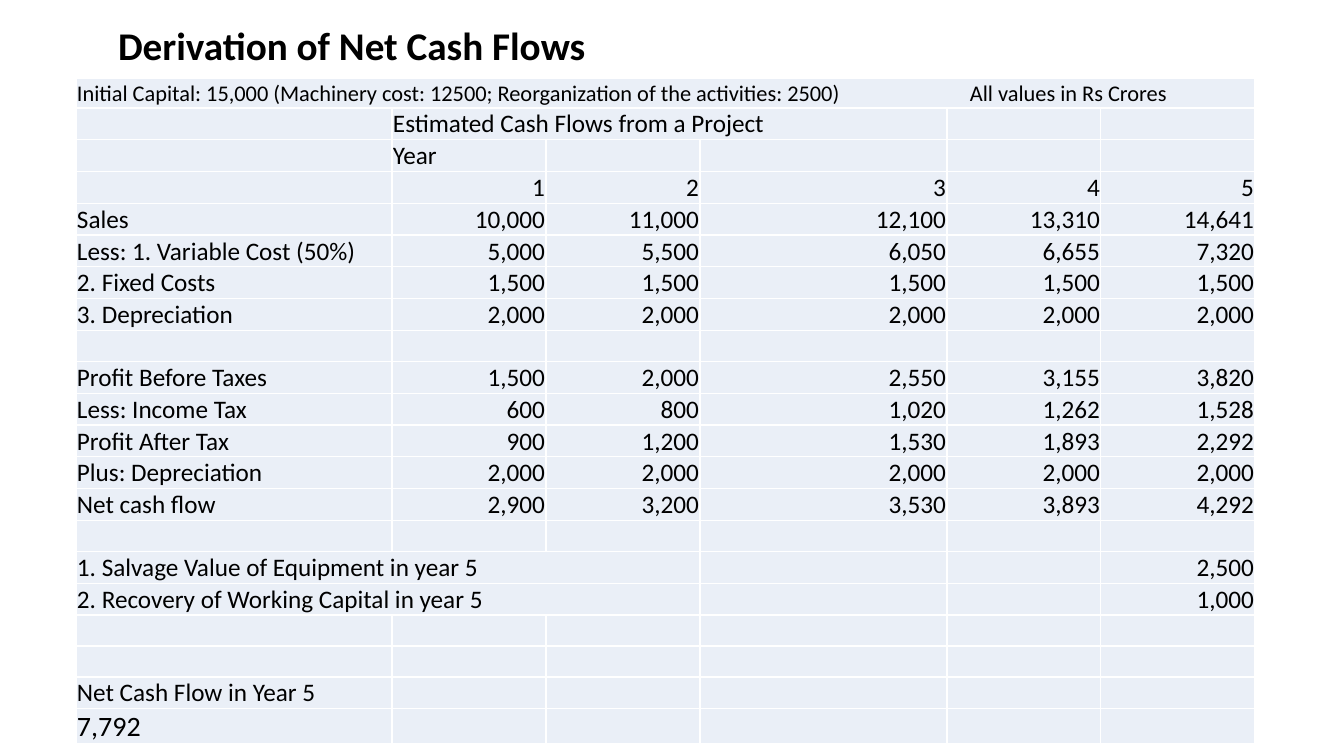
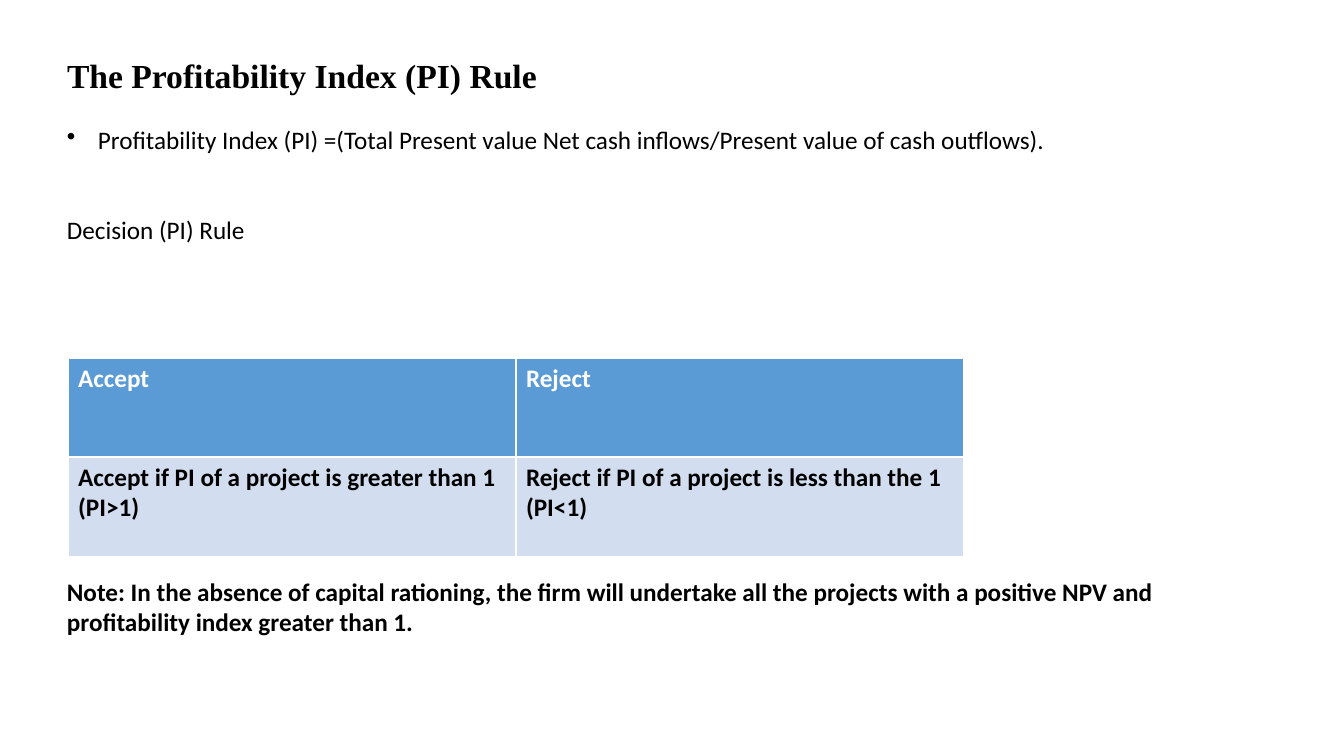
from dataclasses import dataclass

from lxml import etree
from pptx import Presentation
from pptx import util as u
from pptx.dml.color import RGBColor
from pptx.enum import text
from pptx.oxml.ns import qn

PX = 12192000 / 1344


def px(n):
    return u.Emu(round(n * PX))


@dataclass(frozen=True)
class Theme:
    ink: str = "000000"
    white: str = "FFFFFF"
    pale: str = "EAEFF7"
    band: str = "D2DEEF"
    header: str = "5B9BD5"
    sans: str = "Calibri"
    serif: str = "Times New Roman"
    title: int = 28
    serif_title: int = 24
    large: int = 20
    body: int = 18
    small: int = 16


class Deck:
    def __init__(self, theme):
        self.theme = theme
        self.prs = Presentation()
        self.prs.slide_width, self.prs.slide_height = px(1344), px(756)
        self.s = None

    def style(self, p, size=None, color=None, bold=False, font=None):
        f = p.font
        f.name = font or self.theme.sans
        f.size = u.Pt(size or self.theme.body)
        f.bold = bold
        f.color.rgb = RGBColor.from_string(color or self.theme.ink)

    def slide(self, title, box, size, font=None):
        self.s = self.prs.slides.add_slide(self.prs.slide_layouts[5])
        sp = self.s.shapes.title
        sp.left, sp.top, sp.width, sp.height = map(px, box)
        tf = sp.text_frame
        tf.text = title
        tf.word_wrap = True
        tf.auto_size = text.MSO_AUTO_SIZE.NONE
        tf.vertical_anchor = text.MSO_ANCHOR.TOP
        p = tf.paragraphs[0]
        p.alignment = text.PP_ALIGN.LEFT
        self.style(p, size, bold=True, font=font)

    def textbox(self, box, lines, bold=False, gap=0):
        tf = self.s.shapes.add_textbox(*map(px, box)).text_frame
        tf.word_wrap = True
        for i, line in enumerate(lines):
            p = tf.add_paragraph() if i else tf.paragraphs[0]
            p.text = line
            p.space_before = u.Pt(gap if i else 0)
            self.style(p, bold=bold)
        return tf

    def bullet(self, p, indent):
        pPr = p._p.get_or_add_pPr()
        pPr.set("marL", str(px(indent)))
        pPr.set("indent", str(-px(indent)))
        bu = etree.Element(qn("a:buChar"), char="•")
        pPr.find(qn("a:defRPr")).addprevious(bu)

    def tab_stop(self, p, pos):
        tabs = etree.Element(qn("a:tabLst"))
        etree.SubElement(tabs, qn("a:tab"), pos=str(px(pos)), algn="l")
        p._p.get_or_add_pPr().find(qn("a:defRPr")).addprevious(tabs)

    def table(self, left, top, widths, heights, header=False):
        tbl = self.s.shapes.add_table(
            len(heights), len(widths), px(left), px(top),
            px(sum(widths)), px(sum(heights))).table
        tbl.first_row = header
        tbl.horz_banding = False
        for col, w in zip(tbl.columns, widths):
            col.width = px(w)
        for row, h in zip(tbl.rows, heights):
            row.height = px(h)
        return tbl

    def cell(self, cell, value, fill, tight=False, right=False, **font):
        cell.fill.solid()
        cell.fill.fore_color.rgb = RGBColor.from_string(fill)
        if tight:
            cell.margin_left = cell.margin_right = cell.margin_top = px(1)
            cell.margin_bottom = 0
            cell.vertical_anchor = text.MSO_ANCHOR.BOTTOM
        cell.text = value
        p = cell.text_frame.paragraphs[0]
        if right:
            p.alignment = text.PP_ALIGN.RIGHT
        self.style(p, **font)
        return p


CASH_FLOWS = [
    ["Initial Capital: 15,000 (Machinery cost: 12500; Reorganization of the "
     "activities: 2500)\tAll values in Rs Crores"],
    ["", "Estimated Cash Flows from a Project"],
    ["", "Year"],
    ["", "1", "2", "3", "4", "5"],
    ["Sales", "10,000", "11,000", "12,100", "13,310", "14,641"],
    ["Less: 1. Variable Cost (50%)", "5,000", "5,500", "6,050", "6,655", "7,320"],
    ["2. Fixed Costs"] + ["1,500"] * 5,
    ["3. Depreciation"] + ["2,000"] * 5,
    [],
    ["Profit Before Taxes", "1,500", "2,000", "2,550", "3,155", "3,820"],
    ["Less: Income Tax", "600", "800", "1,020", "1,262", "1,528"],
    ["Profit After Tax", "900", "1,200", "1,530", "1,893", "2,292"],
    ["Plus: Depreciation"] + ["2,000"] * 5,
    ["Net cash flow", "2,900", "3,200", "3,530", "3,893", "4,292"],
    [],
    ["1. Salvage Value of Equipment in year 5", "", "", "", "", "2,500"],
    ["2. Recovery of Working Capital in year 5", "", "", "", "", "1,000"],
    [],
    [],
    ["Net Cash Flow in Year 5"],
    ["7,792"],
]
MERGES = [(0, 0, 5), (1, 1, 3), (15, 0, 2), (16, 0, 2)]

RULES = [
    ["Accept", "Reject"],
    ["Accept if PI of a project is greater than 1 (PI>1)",
     "Reject if PI of a project is less than the 1 (PI<1)"],
]


def cash_flow_slide(d):
    t = d.theme
    d.slide("Derivation of Net Cash Flows", (108, 16, 962, 57), t.title)
    widths = [316, 154, 154, 247, 154, 154]
    last = len(CASH_FLOWS) - 1
    tbl = d.table(76, 78, widths, [30] + [31] * (last - 1) + [35])
    sizes = {0: t.small, last: t.large}
    for r, values in enumerate(CASH_FLOWS):
        for c in range(len(widths)):
            value = values[c] if c < len(values) else ""
            number = c > 0 and value.replace(",", "").isdigit()
            size = sizes.get(r) if value else t.small
            p = d.cell(tbl.cell(r, c), value, t.pale, tight=True,
                       right=number, size=size)
            if "\t" in value:
                d.tab_stop(p, 893)
    for r, first, end in MERGES:
        tbl.cell(r, first).merge(tbl.cell(r, end))


def profitability_slide(d):
    t = d.theme
    d.slide("The Profitability Index (PI) Rule", (57, 50, 1161, 49),
            t.serif_title, t.serif)
    tf = d.textbox((57, 119, 1161, 132), [
        "Profitability Index (PI) =(Total Present value Net cash "
        "inflows/Present value of cash outflows).",
        "Decision (PI) Rule"], gap=43)
    d.bullet(tf.paragraphs[0], 31)
    tbl = d.table(68, 358, [448, 448], [99, 100], header=True)
    looks = [(t.header, t.white), (t.band, t.ink)]
    for r, (fill, color) in enumerate(looks):
        for c, value in enumerate(RULES[r]):
            d.cell(tbl.cell(r, c), value, fill, color=color, bold=True)
    d.textbox((57, 571, 1161, 72), [
        "Note: In the absence of capital rationing, the firm will undertake "
        "all the projects with a positive NPV and profitability index "
        "greater than 1."], bold=True)


def main():
    d = Deck(Theme())
    cash_flow_slide(d)
    profitability_slide(d)
    d.prs.save("out.pptx")


if __name__ == "__main__":
    main()
